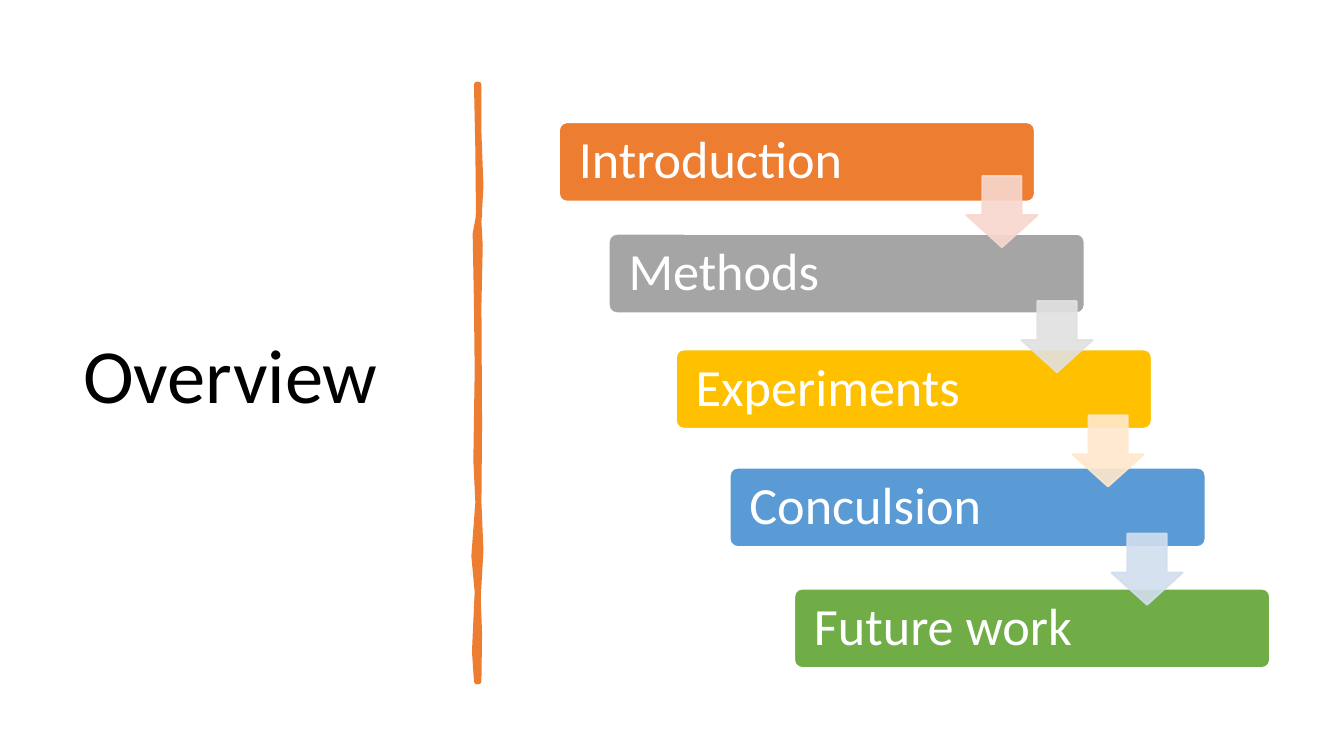
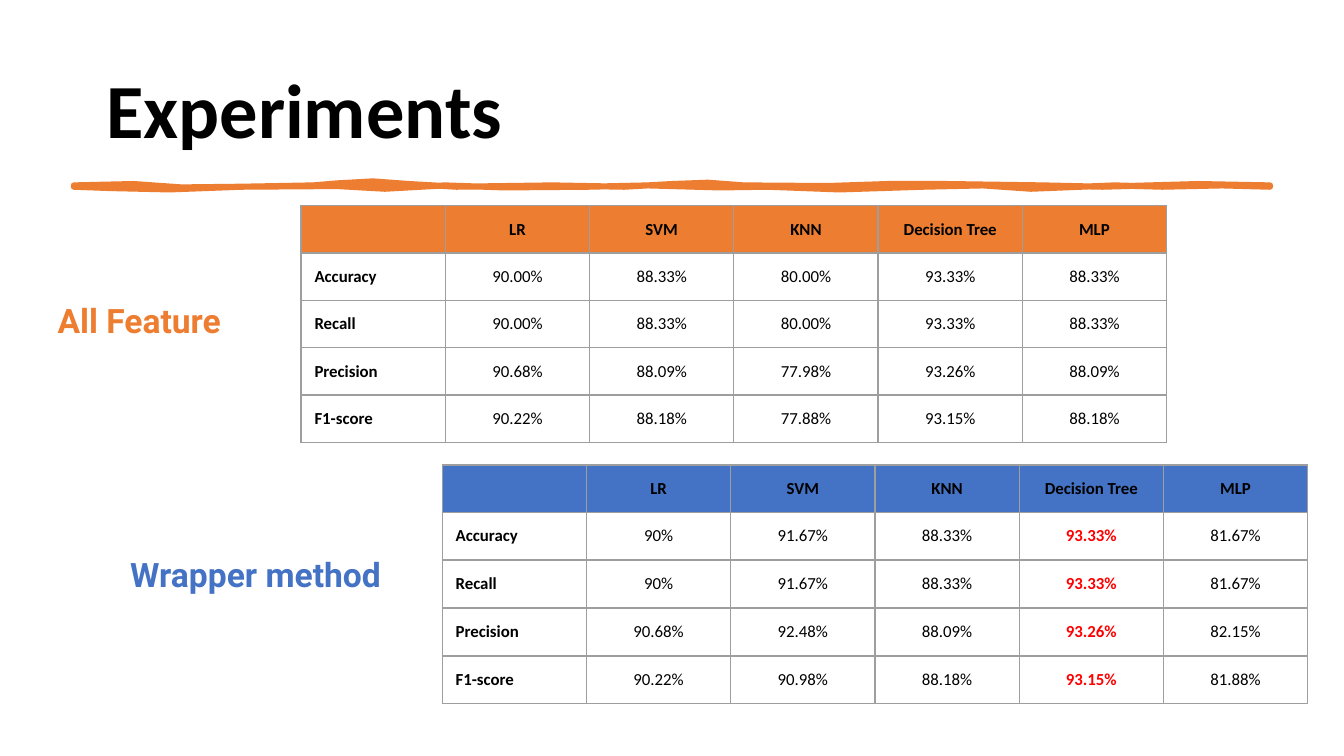
from lxml.etree import SubElement
from pptx import Presentation
from pptx.dml.color import RGBColor
from pptx.enum.shapes import MSO_SHAPE as Shape
from pptx.enum.text import MSO_ANCHOR as Anchor, MSO_AUTO_SIZE as Fit, PP_ALIGN as Align
from pptx.oxml.ns import qn
from pptx.util import Inches, Pt

C = {
    "ink": "000000", "paper": "FFFFFF", "orange": "ED7D31", "gray": "A5A5A5",
    "gold": "FFC000", "sky": "5B9BD5", "green": "70AD47", "blue": "4472C4",
    "red": "FF0000", "rule": "9E9E9E", "peach": "F8D7CE", "silver": "E1E1E1",
    "cream": "FFE8CC", "mist": "D2DEEF",
}
COLS, ROWS = 100, 56.25
CELL = Inches(0.1)
TITLE = {"size": Pt(41), "name": "Calibri"}
STEP = {"size": Pt(28), "name": "Calibri"}
LABEL = {"size": Pt(18), "name": "Roboto", "bold": True}
DATA = {"size": Pt(9), "name": "Calibri"}
SIDES = ("left", "right", "top", "bottom")

STEPS = [
    ("Introduction", "orange", 41.6, 9.1),
    ("Methods", "gray", 45.3, 17.4),
    ("Experiments", "gold", 50.3, 26),
    ("Conculsion", "sky", 54.3, 34.8),
    ("Future work", "green", 59.1, 43.8),
]
ARROWS = [
    ("peach", 71.9, 13.1), ("silver", 76, 22.4),
    ("cream", 79.8, 30.9), ("mist", 82.7, 39.7),
]
MODELS = ["", "LR", "SVM", "KNN", "Decision Tree", "MLP"]
ALL_FEATURE = [
    ["Accuracy", "90.00%", "88.33%", "80.00%", "93.33%", "88.33%"],
    ["Recall", "90.00%", "88.33%", "80.00%", "93.33%", "88.33%"],
    ["Precision", "90.68%", "88.09%", "77.98%", "93.26%", "88.09%"],
    ["F1-score", "90.22%", "88.18%", "77.88%", "93.15%", "88.18%"],
]
WRAPPER = [
    ["Accuracy", "90%", "91.67%", "88.33%", "93.33%", "81.67%"],
    ["Recall", "90%", "91.67%", "88.33%", "93.33%", "81.67%"],
    ["Precision", "90.68%", "92.48%", "88.09%", "93.26%", "82.15%"],
    ["F1-score", "90.22%", "90.98%", "88.18%", "93.15%", "81.88%"],
]
UPPER = [(0, 0), (5, -0.1), (9, 0.15), (14, 0.1), (20, 0), (22, -0.15), (25, -0.3),
         (28, -0.1), (32, 0.1), (40, 0), (46, 0.1), (50, -0.1), (53, -0.2), (56, 0),
         (63, 0.05), (68, -0.1), (73, -0.1), (81, 0), (86, 0.1), (94, -0.1), (100, 0)]
LOWER = [(100, 0.1), (96, 0), (91, 0.1), (87, 0), (80, 0.25), (76, 0), (71, 0.1),
         (64, 0.3), (58, 0.1), (54, 0.15), (48, 0), (43, 0.1), (36, 0.15), (31, 0),
         (26, 0.25), (22, 0.05), (14, 0.1), (8, 0.3), (3, 0.2), (0, 0.1)]
LEFT = [(0, 0), (11, 0.1), (22, 0.15), (25, -0.1), (37, 0), (48, 0.05), (63, -0.05),
        (70, 0.1), (79, -0.2), (85, 0.05), (95, -0.15), (100, 0)]
RIGHT = [(100, 0.1), (92, 0.15), (86, 0.05), (78, 0.25), (70, 0.1), (57, 0.15),
         (37, 0.1), (27, 0.2), (23, 0.1), (17, 0.25), (8, 0.1), (0, 0.1)]


def cells(*lengths):
    """Turn grid lengths into slide units."""
    return [int(n * CELL) for n in lengths]


def rgb(name):
    """Look up a palette colour."""
    return RGBColor.from_string(C[name])


def assign(obj, values):
    """Set each attribute from a dict."""
    for key, value in values.items():
        setattr(obj, key, value)


def write(tf, text, font, color, align=Align.LEFT, anchor=Anchor.MIDDLE, spacing=None):
    """Write one formatted paragraph."""
    assign(tf, {"vertical_anchor": anchor, "word_wrap": True})
    p = tf.paragraphs[0]
    assign(p, {"alignment": align, "line_spacing": spacing})
    if text:
        r = p.add_run()
        r.text = text
        assign(r.font, font)
        r.font.color.rgb = rgb(color)
    else:
        SubElement(p._p, qn("a:endParaRPr"), sz=str(int(font["size"].pt * 100)))


def paint(sp, fill, line, width):
    """Give a shape its fill and outline without shadow."""
    sp.shadow.inherit = False
    sp.fill.solid()
    sp.fill.fore_color.rgb = rgb(fill)
    sp.line.color.rgb = rgb(line)
    sp.line.width = Pt(width)


def title(s, text, box, bold=False):
    """Place and fill the slide title."""
    sp = s.shapes.title
    assign(sp, dict(zip(("left", "top", "width", "height"), cells(*box))))
    sp.text_frame.auto_size = Fit.NONE
    write(sp.text_frame, text, {**TITLE, "bold": bold}, "ink", spacing=0.9)


def brush(s, x, y, length, edges, vertical=False):
    """Draw a hand-painted rule along one axis."""
    points = []
    for along, across in edges:
        run = along * length / 100
        dx, dy = (across, run) if vertical else (run, across)
        points.append(cells(x + dx, y + dy))
    fb = s.shapes.build_freeform(*points[0])
    fb.add_line_segments(points[1:], close=True)
    sp = fb.convert_to_shape()
    paint(sp, "orange", "orange", 3.25)
    SubElement(sp.line._get_or_add_ln(), qn("a:round"))


def step(s, text, color, x, y):
    """Draw one bar of the staircase."""
    sp = s.shapes.add_shape(Shape.ROUNDED_RECTANGLE, *cells(x, y, 35.4, 5.9))
    sp.adjustments[0] = 0.1
    paint(sp, color, "paper", 1)
    tf = sp.text_frame
    assign(tf, {"margin_" + side: Inches(0.13) for side in SIDES})
    write(tf, text, STEP, "paper", spacing=0.9)


def arrow(s, color, x, y):
    """Draw one translucent arrow between bars."""
    sp = s.shapes.add_shape(Shape.DOWN_ARROW, *cells(x, y, 5.3, 5.3))
    sp.adjustments[0], sp.adjustments[1] = 0.55, 0.45
    paint(sp, color, color, 1)
    for clr in sp._element.spPr.iter(qn("a:srgbClr")):
        SubElement(clr, qn("a:alpha"), val="90000")


def label(s, text, color, x, y, w):
    """Write the name of a result table."""
    tf = s.shapes.add_textbox(*cells(x, y, w, 5)).text_frame
    assign(tf, {"margin_" + side: Inches(0.1) for side in SIDES})
    write(tf, text, LABEL, color, anchor=Anchor.TOP)


def border(cell):
    """Rule all four sides of a cell."""
    tcPr = cell._tc.get_or_add_tcPr()
    for side in "LRTB":
        ln = SubElement(tcPr, qn("a:ln" + side), w=str(Pt(0.75)))
        fill = SubElement(ln, qn("a:solidFill"))
        SubElement(fill, qn("a:srgbClr"), val=C["rule"])


def results(s, x, y, rows, color, row_height, edge_anchor, best=None):
    """Build a score table with a coloured header."""
    data = [MODELS] + rows
    heights = [3.5] + [row_height] * len(rows)
    box = cells(x, y, 64.4, sum(heights))
    table = s.shapes.add_table(len(data), len(MODELS), *box).table
    assign(table, {"first_row": False, "horz_banding": False})
    for col in table.columns:
        col.width = box[2] // len(MODELS)
    for i, (row, height) in enumerate(zip(data, heights)):
        table.rows[i].height = cells(height)[0]
        for j, text in enumerate(row):
            cell = table.cell(i, j)
            border(cell)
            cell.fill.solid()
            cell.fill.fore_color.rgb = rgb("paper" if i else color)
            assign(cell, {"margin_" + side: Inches(0.1) for side in SIDES})
            edge, top = i == 0 or j == 0, i > 0 and j == best
            write(cell.text_frame, text, {**DATA, "bold": edge or top},
                  "red" if top else "ink", Align.CENTER if j else Align.LEFT)
            cell.vertical_anchor = edge_anchor if edge else Anchor.MIDDLE


def overview(s):
    """Lay out the overview slide."""
    title(s, "Overview", (5.2, 5.3, 28, 45.8))
    brush(s, 35.5, 6.3, 44.4, LEFT + RIGHT, vertical=True)
    for item in STEPS:
        step(s, *item)
    for item in ARROWS:
        arrow(s, *item)


def experiments(s):
    """Lay out the experiment results slide."""
    title(s, "Experiments", (6.9, 3, 86.2, 10.9), bold=True)
    brush(s, 5.5, 13.8, 89, UPPER + LOWER)
    results(s, 22.4, 15.3, ALL_FEATURE, "orange", 3.5, Anchor.MIDDLE)
    label(s, "All Feature", "orange", 3.3, 21.3, 17.5)
    label(s, "Wrapper method", "blue", 8.7, 40.2, 24.1)
    results(s, 32.9, 34.6, WRAPPER, "blue", 3.57, Anchor.TOP, best=4)


def main():
    """Build and save the deck."""
    prs = Presentation()
    prs.slide_width, prs.slide_height = cells(COLS, ROWS)
    for fill_slide in (overview, experiments):
        fill_slide(prs.slides.add_slide(prs.slide_layouts[5]))
    prs.save("out.pptx")


if __name__ == "__main__":
    main()
